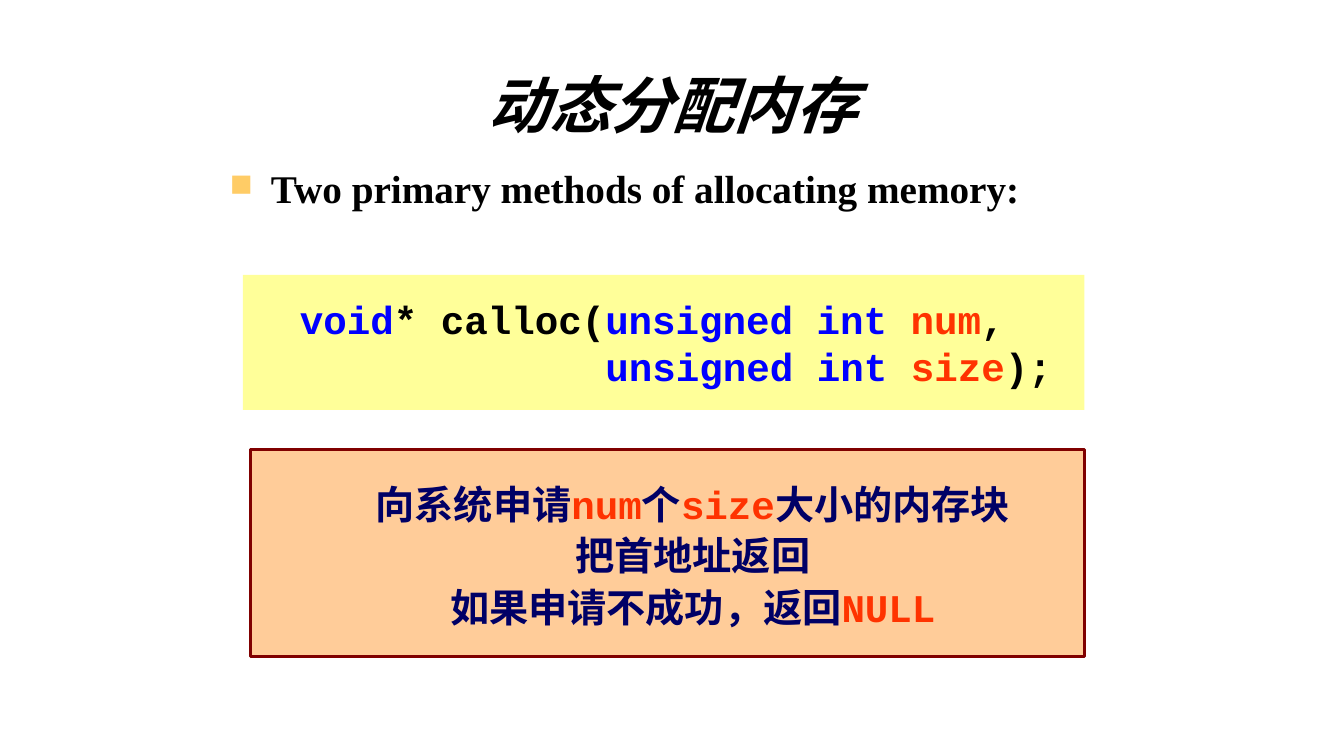
from dataclasses import dataclass

import pptx
import pptx.dml.color
import pptx.enum.shapes
import pptx.enum.text
import pptx.oxml
import pptx.oxml.ns
import pptx.util

Cm = pptx.util.Cm
Pt = pptx.util.Pt
ALIGN = pptx.enum.text.PP_ALIGN
ANCHOR = pptx.enum.text.MSO_ANCHOR

BLACK, BLUE, RED, NAVY = "000000", "0000FF", "FF3300", "000066"
SERIF, MONO = "Times New Roman", "Courier New"
NS = pptx.oxml.ns.nsdecls("a")
SHADE = (f'<a:effectLst {NS}><a:outerShdw dist="38100" dir="2700000">'
         '<a:srgbClr val="000000"/></a:outerShdw></a:effectLst>')
BULLET = (f'<a:buClr {NS}><a:srgbClr val="FFCC66"/></a:buClr>',
          f'<a:buSzPct {NS} val="80000"/>',
          f'<a:buChar {NS} char="■"/>')

Line = list[tuple[str, str]]


@dataclass
class Panel:
    left: float
    top: float
    width: float
    height: float
    fill: str
    edge: str | None = None


CODE = Panel(6.12, 6.93, 21.21, 3.4, "FFFF99")
NOTE = Panel(6.32, 11.33, 21.01, 5.21, "FFCC99", "800000")


def color(code: str) -> pptx.dml.color.RGBColor:
    return pptx.dml.color.RGBColor.from_string(code)


def write(shape, lines: list[Line], *, font: str = MONO, size: float = 28,
          align=ALIGN.LEFT, anchor=ANCHOR.MIDDLE, inset: float = 0.25,
          space: float = 1, before: float = 0, margins: tuple = (0,),
          hang: float = 0, italic: bool = False, shade: bool = False,
          bullet: bool = False) -> None:
    """Fill a shape with lines of (text, colour) runs; margins cycle by line."""
    frame = shape.text_frame
    frame.word_wrap = True
    frame.vertical_anchor = anchor
    frame.margin_left, frame.margin_right = Cm(inset), Cm(0.25)
    frame.margin_top = frame.margin_bottom = Cm(0.13)
    for i, line in enumerate(lines):
        para = frame.add_paragraph() if i else frame.paragraphs[0]
        para.alignment = align
        para.line_spacing = space
        para.space_before = Pt(before)
        props = para._p.get_or_add_pPr()
        props.set("marL", str(Cm(margins[i % len(margins)])))
        props.set("indent", str(Cm(-hang)))
        if bullet:
            for part in BULLET:
                props.append(pptx.oxml.parse_xml(part))
        for text, tint in line:
            run = para.add_run()
            run.text = text
            face = run.font
            face.name, face.size = font, Pt(size)
            face.bold, face.italic = True, italic
            face.color.rgb = color(tint)
            if shade:
                latin = run._r.rPr.find(pptx.oxml.ns.qn("a:latin"))
                latin.addprevious(pptx.oxml.parse_xml(SHADE))


def draw(slide, panel: Panel):
    box = slide.shapes.add_shape(
        pptx.enum.shapes.MSO_SHAPE.RECTANGLE, Cm(panel.left), Cm(panel.top),
        Cm(panel.width), Cm(panel.height))
    box.shadow.inherit = False
    box.fill.solid()
    box.fill.fore_color.rgb = color(panel.fill)
    if panel.edge:
        box.line.color.rgb = color(panel.edge)
        box.line.width = Pt(2.25)
    else:
        box.line.fill.background()
    return box


def main() -> None:
    deck = pptx.Presentation()
    deck.slide_width, deck.slide_height = Cm(33.87), Cm(19.05)
    slide = deck.slides.add_slide(deck.slide_layouts[6])

    title = slide.shapes.add_textbox(Cm(2.51), Cm(1.6), Cm(28.88), Cm(2.34))
    write(title, [[("动态分配内存", BLACK)]], font=SERIF, size=44,
          align=ALIGN.CENTER, space=0.85, italic=True, shade=True)

    intro = slide.shapes.add_textbox(Cm(5.54), Cm(4.11), Cm(22.81), Cm(2.01))
    write(intro, [[("Two primary methods of allocating memory:", BLACK)]],
          font=SERIF, anchor=ANCHOR.TOP, space=0.95, before=5.6,
          margins=(1.04,), hang=1.04, bullet=True)

    write(draw(slide, CODE), [
        [("void", BLUE), ("* calloc(", BLACK), ("unsigned int ", BLUE),
         ("num", RED), (",", BLACK)],
        [("unsigned int ", BLUE), ("size", RED), (");", BLACK)],
    ], inset=1.44, margins=(0, 7.7))

    write(draw(slide, NOTE), [
        [("向系统申请", NAVY), ("num", RED), ("个", NAVY), ("size", RED),
         ("大小的内存块", NAVY)],
        [("把首地址返回", NAVY)],
        [("如果申请不成功，返回", NAVY), ("NULL", RED)],
    ], align=ALIGN.CENTER, space=1.1, margins=(1.27,))

    deck.save("out.pptx")


if __name__ == "__main__":
    main()
